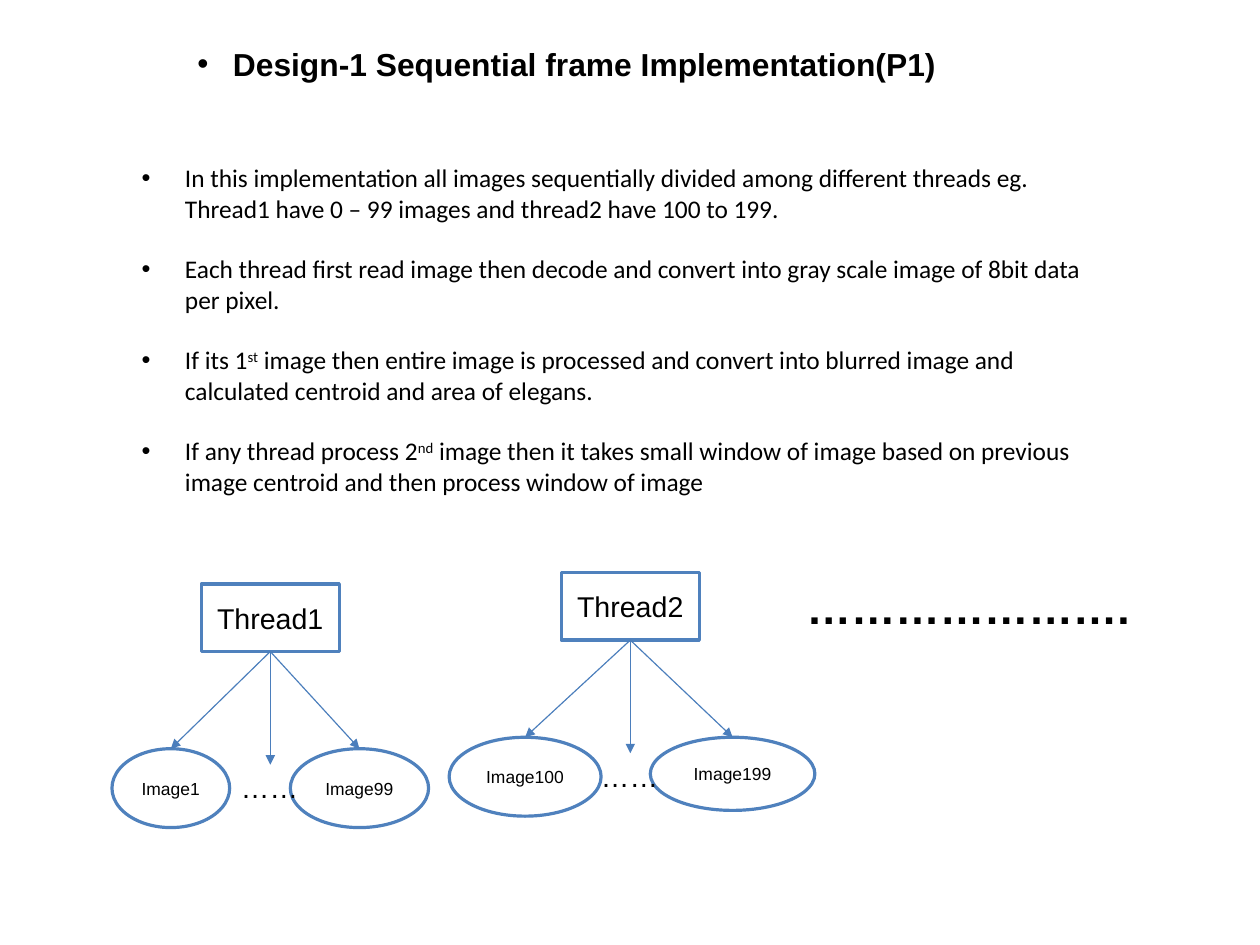
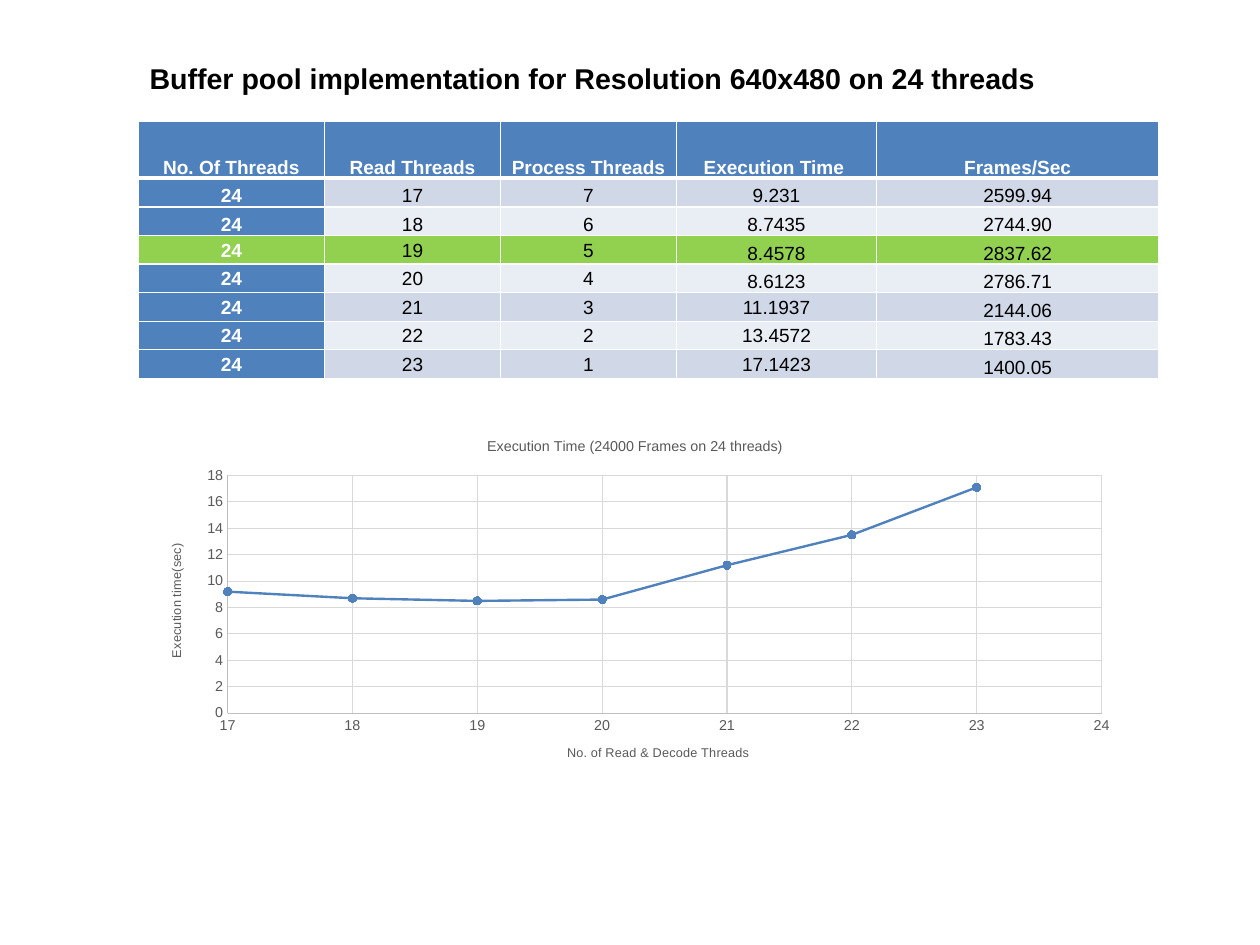
import pptx
import pptx.chart.data
import pptx.dml.color
import pptx.enum.chart
import pptx.enum.shapes
import pptx.enum.text
import pptx.oxml
import pptx.oxml.ns
import pptx.util
import lxml.etree

Inches = pptx.util.Inches
Pt = pptx.util.Pt
RGB = pptx.dml.color.RGBColor.from_string
Anchor = pptx.enum.text.MSO_ANCHOR
Align = pptx.enum.text.PP_ALIGN
Shape = pptx.enum.shapes.MSO_SHAPE
qn = pptx.oxml.ns.qn


class Theme:
    ink, white, blue, arrow = "000000", "FFFFFF", "4F81BD", "4B7EBC"
    dark, light, green = "D0D8E8", "E9EDF4", "92D050"
    gray, grid, axis = "595959", "D9D9D9", "BFBFBF"
    sans, body = "Arial", "Calibri"
    head, title, text, large, node, cell = 20, 18, 16, 28, 11, 12
    chart, tick, label = 9, 9, 8


def write(frame, text, size=Theme.title, font=Theme.sans, color=Theme.ink,
          bold=False, align=None, hang=0, gap=0, lead=None):
    for num, line in enumerate(text.split("\n")):
        para = frame.add_paragraph() if num else frame.paragraphs[0]
        para.alignment = align
        if lead:
            para.line_spacing = lead
        if num and gap:
            para.space_before = Pt(gap)
        if hang:
            props = para._p.get_or_add_pPr()
            props.set("marL", str(Inches(hang)))
            props.set("indent", str(-Inches(hang)))
            lxml.etree.SubElement(props, qn("a:buFont"), typeface=Theme.sans)
            lxml.etree.SubElement(props, qn("a:buChar"), char="•")
        for part, words in enumerate(line.split("^")):
            run = para.add_run()
            run.text = words
            run.font.size, run.font.name, run.font.bold = Pt(size), font, bold
            run.font.color.rgb = RGB(color)
            if part % 2:
                run._r.get_or_add_rPr().set("baseline", "30000")


def note(slide, box, text, wrap=True, **form):
    frame = slide.shapes.add_textbox(*map(Inches, box)).text_frame
    frame.word_wrap = wrap
    frame.auto_size = pptx.enum.text.MSO_AUTO_SIZE.SHAPE_TO_FIT_TEXT
    write(frame, text, **form)


deck = pptx.Presentation()
deck.slide_width = Pt(793.75)
deck.slide_height = Pt(595.25)
blank = deck.slide_layouts[6]

slide = deck.slides.add_slide(blank)
note(slide, (1.63, 0.34, 7.33, 0.44), "Design-1 Sequential frame Implementation(P1)",
     size=Theme.head, bold=True, hang=0.31)
points = [
    "In this implementation all images sequentially divided among different threads eg. "
    "Thread1 have 0 – 99 images and thread2 have 100 to 199.",
    "Each thread first read image then decode and convert into gray scale image of 8bit "
    "data per pixel.",
    "If its 1^st^ image then entire image is processed and convert into blurred image and "
    "calculated centroid and area of elegans.",
    "If any thread process 2^nd^ image then it takes small window of image based on "
    "previous image centroid and then process window of image",
]
note(slide, (1.14, 1.37, 8.51, 3.06), "\n".join(points),
     size=Theme.text, font=Theme.body, hang=0.38, gap=19)

trees = [
    ("Thread1", 1.76, 5.11, [("Image1", 0.98, 1.03, 0.69), ("Image99", 2.54, 1.21, 0.69)]),
    ("Thread2", 4.91, 5.01, [("Image100", 3.93, 1.33, 0.69), ("Image199", 5.69, 1.44, 0.64)]),
]
wide, high = 1.21, 0.59
for name, left, top, leaves in trees:
    mid, base, row = left + wide / 2, top + high, top + 1.44
    nodes = [(name, Shape.RECTANGLE, (left, top, wide, high), Theme.title)]
    nodes += [(leaf, Shape.OVAL, (x, row, w, h), Theme.node) for leaf, x, w, h in leaves]
    for text, kind, box, size in nodes:
        node = slide.shapes.add_shape(kind, *map(Inches, box))
        node.shadow.inherit = False
        node.fill.solid()
        node.fill.fore_color.rgb = RGB(Theme.white)
        node.line.color.rgb = RGB(Theme.blue)
        node.line.width = Pt(2)
        node.text_frame.vertical_anchor = Anchor.MIDDLE
        write(node.text_frame, text, size=size, align=Align.CENTER)
    note(slide, (left + 0.25, row + 0.14, 0.71, 0.4), "……", wrap=False)
    tips = [(x + w / 2, row) for leaf, x, w, h in leaves] + [(mid, row + 0.14)]
    for tip in tips:
        arrow = slide.shapes.add_connector(
            pptx.enum.shapes.MSO_CONNECTOR.STRAIGHT, *map(Inches, (mid, base, *tip)))
        arrow.line.color.rgb = RGB(Theme.arrow)
        arrow.line.width = Pt(0.75)
        lxml.etree.SubElement(arrow.line._get_or_add_ln(), qn("a:tailEnd"), type="triangle")
        lxml.etree.SubElement(arrow._element.spPr, qn("a:effectLst"))
note(slide, (6.96, 5.03, 3.06, 0.57), "………………….", wrap=False,
     size=Theme.large, bold=True)

slide = deck.slides.add_slide(blank)
note(slide, (1.21, 0.48, 8.18, 0.4),
     "Buffer pool implementation for Resolution 640x480 on 24 threads", bold=True)
rows = [
    ("No. Of Threads", "Read Threads", "Process Threads", "Execution Time ", "Frames/Sec"),
    ("24", "17", "7", "9.231", "2599.94"),
    ("24", "18", "6", "8.7435", "2744.90"),
    ("24", "19", "5", "8.4578", "2837.62"),
    ("24", "20", "4", "8.6123", "2786.71"),
    ("24", "21", "3", "11.1937", "2144.06"),
    ("24", "22", "2", "13.4572", "1783.43"),
    ("24", "23", "1", "17.1423", "1400.05"),
]
best = 3
table = slide.shapes.add_table(
    len(rows), 5, *map(Inches, (1.21, 1.06, 8.93, 2.25))).table
for col, width in zip(table.columns, (1.63, 1.54, 1.54, 1.75, 2.47)):
    col.width = Inches(width)
for r, row in enumerate(rows):
    table.rows[r].height = Inches(0.25 if r else 0.5)
    for c, text in enumerate(row):
        cell = table.cell(r, c)
        key = r == 0 or c == 0
        cell.margin_left = cell.margin_right = Inches(0.07)
        cell.margin_top = cell.margin_bottom = 0
        low = r < 3 or c == 4 or (c == 3 and r < 5)
        cell.vertical_anchor = Anchor.BOTTOM if low else Anchor.MIDDLE
        for side in "LRTB":
            thick = (r == 0 and side == "B") or (r == 1 and side == "T")
            edge = lxml.etree.SubElement(cell._tc.get_or_add_tcPr(), qn("a:ln" + side),
                                         w=str(Pt(3 if thick else 1)))
            paint = lxml.etree.SubElement(edge, qn("a:solidFill"))
            lxml.etree.SubElement(paint, qn("a:srgbClr"), val=Theme.white)
        band = Theme.dark if r % 2 else Theme.light
        cell.fill.solid()
        cell.fill.fore_color.rgb = RGB(
            Theme.green if r == best else Theme.blue if key else band)
        write(cell.text_frame, text, size=Theme.cell, bold=key, align=Align.CENTER,
              color=Theme.white if key else Theme.ink, lead=1.07)

data = pptx.chart.data.XyChartData()
series = data.add_series("Series 1")
for row in rows[1:]:
    series.add_data_point(int(row[1]), round(float(row[3]), 1))
chart = slide.shapes.add_chart(
    pptx.enum.chart.XL_CHART_TYPE.XY_SCATTER_LINES,
    *map(Inches, (1.21, 3.68, 8.69, 3.2)), data).chart
chart.font.name, chart.font.size = Theme.sans, Pt(Theme.tick)
chart.font.color.rgb = RGB(Theme.gray)
chart.has_legend = False
chart.has_title = True
write(chart.chart_title.text_frame, "Execution Time (24000 Frames on 24 threads)",
      size=Theme.chart, color=Theme.gray)
axes = [
    (chart.category_axis, "No. of Read & Decode Threads", 17, 24, 1),
    (chart.value_axis, "Execution time(sec)", 0, 18, 2),
]
for axis, text, least, most, step in axes:
    axis.minimum_scale, axis.maximum_scale, axis.major_unit = least, most, step
    axis.major_tick_mark = axis.minor_tick_mark = pptx.enum.chart.XL_TICK_MARK.NONE
    axis.has_major_gridlines = True
    for line, color in ((axis.major_gridlines.format.line, Theme.grid),
                        (axis.format.line, Theme.axis)):
        line.color.rgb = RGB(color)
        line.width = Pt(0.75)
    axis.tick_labels.font.size = Pt(Theme.tick)
    axis.tick_labels.font.color.rgb = RGB(Theme.gray)
    write(axis.axis_title.text_frame, text, size=Theme.label, color=Theme.gray)
turn = chart.value_axis.axis_title.text_frame._txBody.bodyPr
turn.set("rot", "-5400000")
turn.set("vert", "horz")

plot = chart.plots[0]
plot.vary_by_categories = False
trend = plot.series[0]
trend.smooth = False
trend.format.line.color.rgb = RGB(Theme.blue)
trend.format.line.width = Pt(1.5)
trend.marker.style = pptx.enum.chart.XL_MARKER_STYLE.CIRCLE
trend.marker.size = 5
trend.marker.format.fill.solid()
trend.marker.format.fill.fore_color.rgb = RGB(Theme.blue)
trend.marker.format.line.color.rgb = RGB(Theme.blue)

area = chart._chartSpace.chart.plotArea
for old in area.findall(qn("c:layout")):
    area.remove(old)
frame = lxml.etree.Element(qn("c:layout"))
area.insert(0, frame)
manual = lxml.etree.SubElement(frame, qn("c:manualLayout"))
for tag, val in (("layoutTarget", "inner"), ("xMode", "edge"), ("yMode", "edge"),
                 ("x", "0.09"), ("y", "0.15"), ("w", "0.88"), ("h", "0.65")):
    lxml.etree.SubElement(manual, qn("c:" + tag), val=val)

deck.save("out.pptx")
